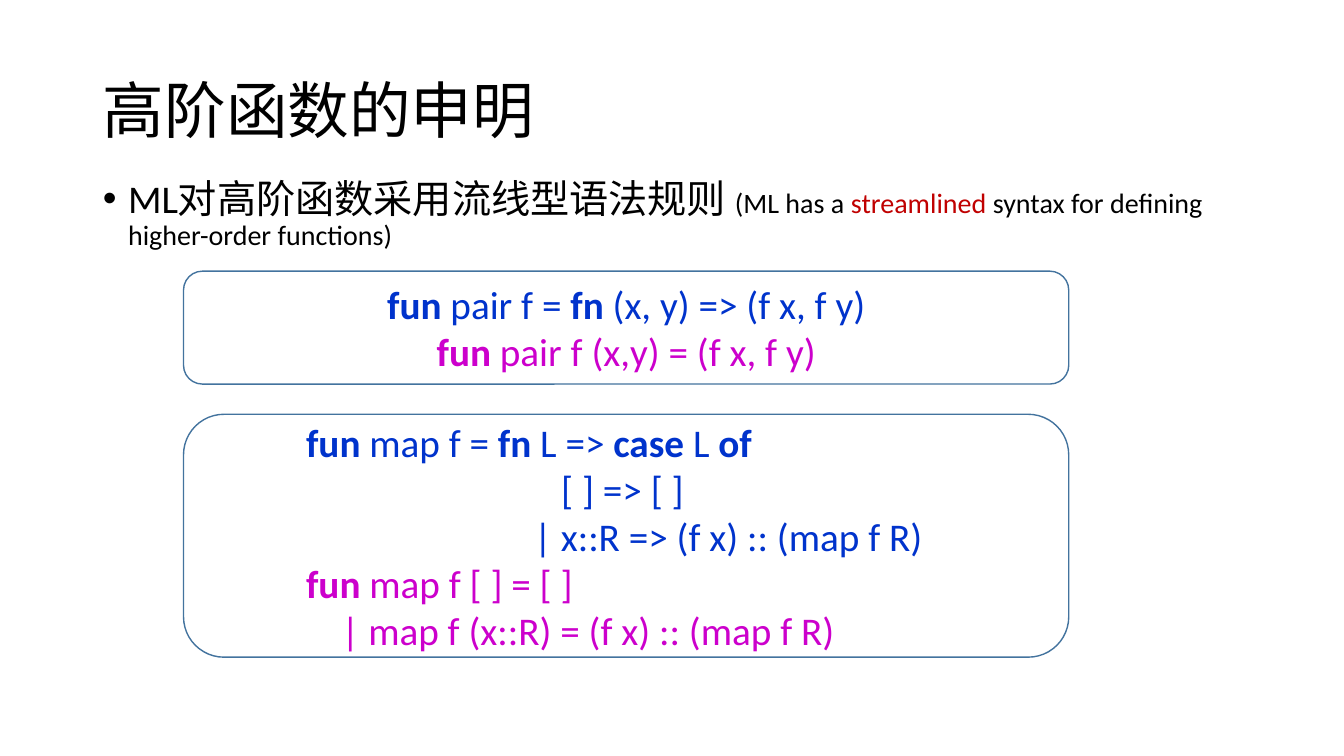
"""Build the slide on declaring higher-order functions in ML."""

from dataclasses import dataclass

from pptx import Presentation
from pptx.dml.color import RGBColor
from pptx.enum.shapes import MSO_SHAPE
from pptx.enum.text import MSO_ANCHOR, MSO_AUTO_SIZE, PP_ALIGN
from pptx.util import Inches, Pt

BLACK = RGBColor(0x00, 0x00, 0x00)
RED = RGBColor(0xC0, 0x00, 0x00)
BLUE = RGBColor(0x00, 0x33, 0xCC)
PINK = RGBColor(0xCC, 0x00, 0xCC)
EDGE = RGBColor(0x43, 0x73, 0x9E)
FONT = "Calibri"
LEFT, WIDTH = 0.92, 11.5


@dataclass
class Span:
    """Text in one style."""

    text: str
    size: int
    color: RGBColor = BLACK
    bold: bool = False


@dataclass
class Line:
    """A code line, with keywords between asterisks."""

    code: str
    color: RGBColor
    indent: float = 0


@dataclass
class Box:
    """A rounded frame holding code lines."""

    top: float
    height: float
    align: PP_ALIGN
    lines: list[Line]


BOXES = [
    Box(2.69, 1.12, PP_ALIGN.CENTER, [
        Line("*fun* pair f = *fn* (x, y) => (f x, f y)", BLUE),
        Line("*fun* pair f (x,y) = (f x, f y)", PINK),
    ]),
    Box(4.11, 2.41, PP_ALIGN.LEFT, [
        Line("*fun* map f = *fn* L => *case* L *of*", BLUE, 1),
        Line("[ ] => [ ]", BLUE, 3.53),
        Line("| x::R => (f x) :: (map f R)", BLUE, 3.26),
        Line("*fun* map f [ ] = [ ]", PINK, 1),
        Line("| map f (x::R) = (f x) :: (map f R)", PINK, 1.35),
    ]),
]

LEAD = [
    Span("ML对高阶函数采用流线型语法规则 ", 28),
    Span("(ML has a ", 20),
    Span("streamlined", 20, RED),
    Span(" syntax for defining higher-order functions)", 20),
]


def place(shape, top: float, height: float) -> None:
    """Move a placeholder to its spot."""
    shape.left, shape.top = Inches(LEFT), Inches(top)
    shape.width, shape.height = Inches(WIDTH), Inches(height)
    shape.text_frame.auto_size = MSO_AUTO_SIZE.NONE


def write(para, spans: list[Span]) -> None:
    """Add styled runs to a paragraph."""
    for span in spans:
        run = para.add_run()
        run.text = span.text
        font = run.font
        font.name, font.size, font.bold = FONT, Pt(span.size), span.bold
        font.color.rgb = span.color


def indent(para, left: float, first: float = 0) -> None:
    """Set the left margin and first-line indent."""
    props = para._p.get_or_add_pPr()
    props.set("marL", str(Inches(left)))
    props.set("indent", str(Inches(first)))


def draw(slide, box: Box) -> None:
    """Draw a frame with its code."""
    shape = slide.shapes.add_shape(
        MSO_SHAPE.ROUNDED_RECTANGLE,
        Inches(1.82), Inches(box.top), Inches(8.78), Inches(box.height))
    shape.shadow.inherit = False
    shape.fill.background()
    shape.line.color.rgb = EDGE
    shape.line.width = Pt(1)
    frame = shape.text_frame
    frame.word_wrap = True
    frame.vertical_anchor = MSO_ANCHOR.MIDDLE
    for row, line in enumerate(box.lines):
        para = frame.add_paragraph() if row else frame.paragraphs[0]
        para.alignment = box.align
        indent(para, line.indent)
        parts = enumerate(line.code.split("*"))
        write(para, [Span(part, 28, line.color, spot % 2 == 1)
                     for spot, part in parts if part])


def main() -> None:
    """Build and save the deck."""
    deck = Presentation()
    deck.slide_width, deck.slide_height = Inches(13.33), Inches(7.5)
    slide = deck.slides.add_slide(deck.slide_layouts[1])

    title = slide.shapes.title
    place(title, 0.4, 1.45)
    title.text_frame.vertical_anchor = MSO_ANCHOR.MIDDLE
    head = title.text_frame.paragraphs[0]
    head.alignment = PP_ALIGN.LEFT
    head.line_spacing = 0.9
    write(head, [Span("高阶函数的申明", 44)])

    body = slide.placeholders[1]
    place(body, 1.73, 0.96)
    item = body.text_frame.paragraphs[0]
    item.line_spacing, item.space_before = 0.9, Pt(10)
    indent(item, 0.25, -0.25)
    write(item, LEAD)

    for box in BOXES:
        draw(slide, box)
    deck.save("out.pptx")


if __name__ == "__main__":
    main()
